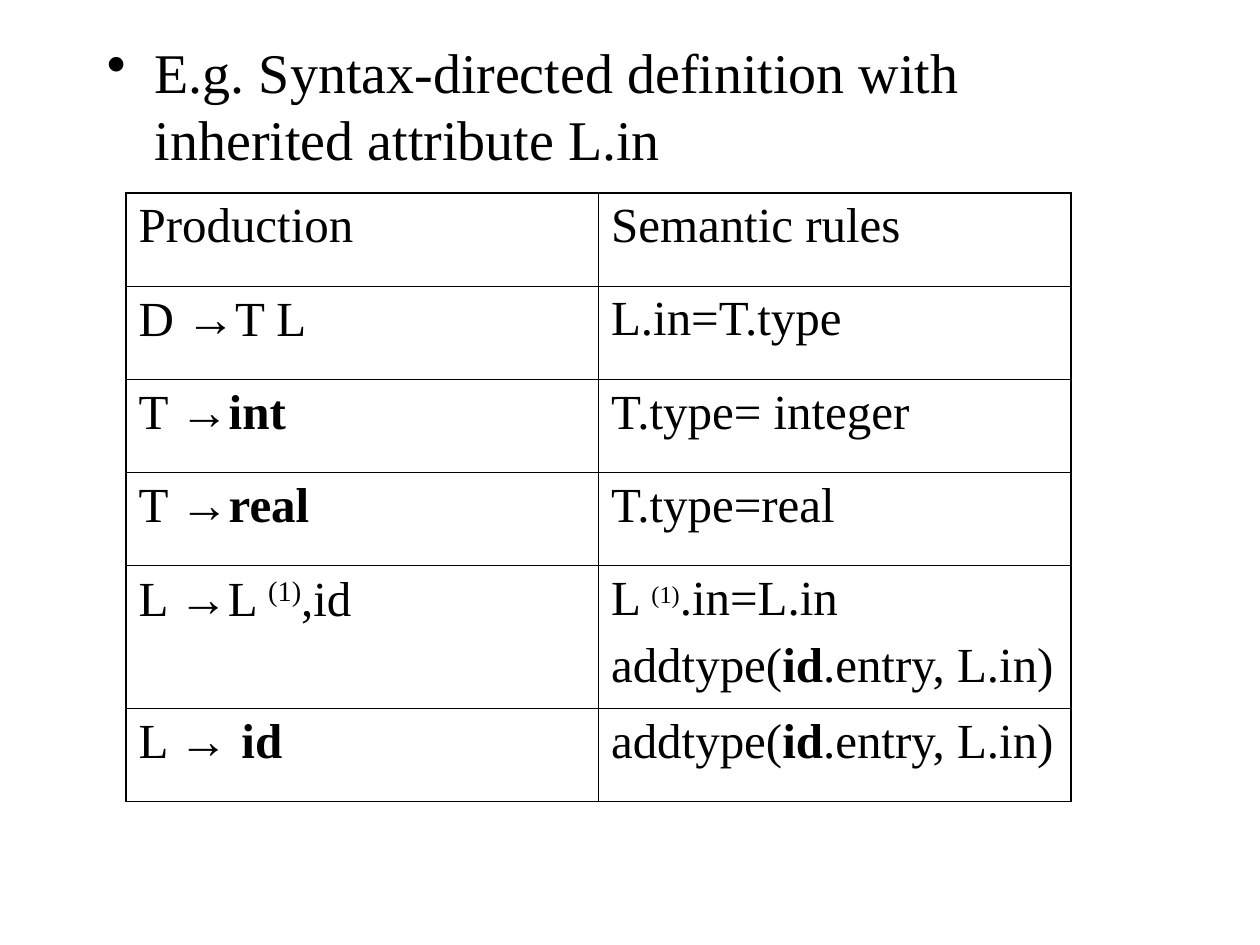
import pptx
import pptx.dml.color
import pptx.oxml
import pptx.oxml.ns
import pptx.util
from pptx.util import Inches

BLACK = pptx.dml.color.RGBColor(0x00, 0x00, 0x00)
SERIF = "Times New Roman"
BOLD = {"bold": True}
ARROW = ("→", {"name": "Arial"})
ADD_TYPE = [("addtype(", {}), ("id", BOLD), (".entry, L.in)", {})]

HEADING = "E.g. Syntax-directed definition with inherited attribute L.in"
RULES = [
    ([[("Production", {})]], [[("Semantic rules", {})]]),
    ([[("D ", {}), ARROW, ("T L", {})]], [[("L.in=T.type", {})]]),
    ([[("T ", {}), ARROW, ("int", BOLD)]], [[("T.type= integer", {})]]),
    ([[("T ", {}), ARROW, ("real", BOLD)]], [[("T.type=real", {})]]),
    (
        [[("L ", {}), ARROW, ("L ", {}), ("(1)", {"raised": True}), (",id", {})]],
        [[("L ", {}), ("(1)", {"raised": True, "size": 24}), (".in=L.in", {})], ADD_TYPE],
    ),
    ([[("L ", {}), ("→ ", {"name": "Arial"}), ("id", BOLD)]], [ADD_TYPE]),
]
ROW_HEIGHTS = [0.74, 0.74, 0.74, 0.74, 1.13, 0.74]
THIN, THICK = 0.45, 1.08


def fill_paragraph(para, spans, size, space_before):
    """Write styled spans into a paragraph with a shared serif font."""
    para.space_before = pptx.util.Pt(space_before)
    para.font.size = pptx.util.Pt(size)
    para.font.name = SERIF
    para.font.color.rgb = BLACK
    for text, style in spans:
        span = para.add_run()
        span.text = text
        span.font.name = style.get("name", SERIF)
        span.font.size = pptx.util.Pt(style.get("size", size))
        span.font.bold = style.get("bold", False)
        span.font.color.rgb = BLACK
        if style.get("raised"):
            span.font._element.set("baseline", "30000")


def add_heading(page, left, top, width, height):
    """Add the bulleted heading in the given box."""
    box = page.shapes.add_textbox(left, top, width, height)
    box.text_frame.word_wrap = True
    para = box.text_frame.paragraphs[0]
    fill_paragraph(para, [(HEADING, {})], 32, 8)
    properties = para._p.get_or_add_pPr()
    properties.set("marL", str(Inches(0.38)))
    properties.set("indent", str(Inches(-0.38)))
    bullet = pptx.oxml.parse_xml(
        f'<a:buChar {pptx.oxml.ns.nsdecls("a")} char="•"/>'
    )
    properties.find(pptx.oxml.ns.qn("a:defRPr")).addprevious(bullet)


def set_borders(cell, widths):
    """Draw black cell borders, given point widths by side."""
    properties = cell._tc.get_or_add_tcPr()
    for position, (side, width) in enumerate(widths.items()):
        line = pptx.oxml.parse_xml(
            f'<a:ln{side} {pptx.oxml.ns.nsdecls("a")} w="{pptx.util.Pt(width)}">'
            f'<a:solidFill><a:srgbClr val="{BLACK}"/></a:solidFill></a:ln{side}>'
        )
        properties.insert(position, line)


def add_rule_table(page, left, top, width):
    """Add the grid of productions and semantic rules."""
    height = Inches(sum(ROW_HEIGHTS))
    last_row, last_column = len(RULES) - 1, 1
    frame = page.shapes.add_table(len(RULES), 2, left, top, width, height)
    table = frame.table
    table.first_row = table.horz_banding = False
    for column in table.columns:
        column.width = width // 2
    for row, contents in enumerate(RULES):
        table.rows[row].height = Inches(ROW_HEIGHTS[row])
        for column, paragraphs in enumerate(contents):
            cell = table.cell(row, column)
            cell.fill.background()
            frame_text = cell.text_frame
            for index, spans in enumerate(paragraphs):
                para = frame_text.add_paragraph() if index else frame_text.paragraphs[0]
                fill_paragraph(para, spans, 28, 7)
            set_borders(cell, {
                "L": THICK if column == 0 else THIN,
                "R": THICK if column == last_column else THIN,
                "T": THICK if row == 0 else THIN,
                "B": THICK if row == last_row else THIN,
            })


def main():
    """Build and save the slide."""
    deck = pptx.Presentation()
    deck.slide_width, deck.slide_height = Inches(10), Inches(7.5)
    page = deck.slides.add_slide(deck.slide_layouts[6])
    add_heading(page, Inches(0.75), Inches(0.25), Inches(8.5), Inches(6.58))
    add_rule_table(page, Inches(1), Inches(1.53), Inches(7.5))
    deck.save("out.pptx")


if __name__ == "__main__":
    main()
